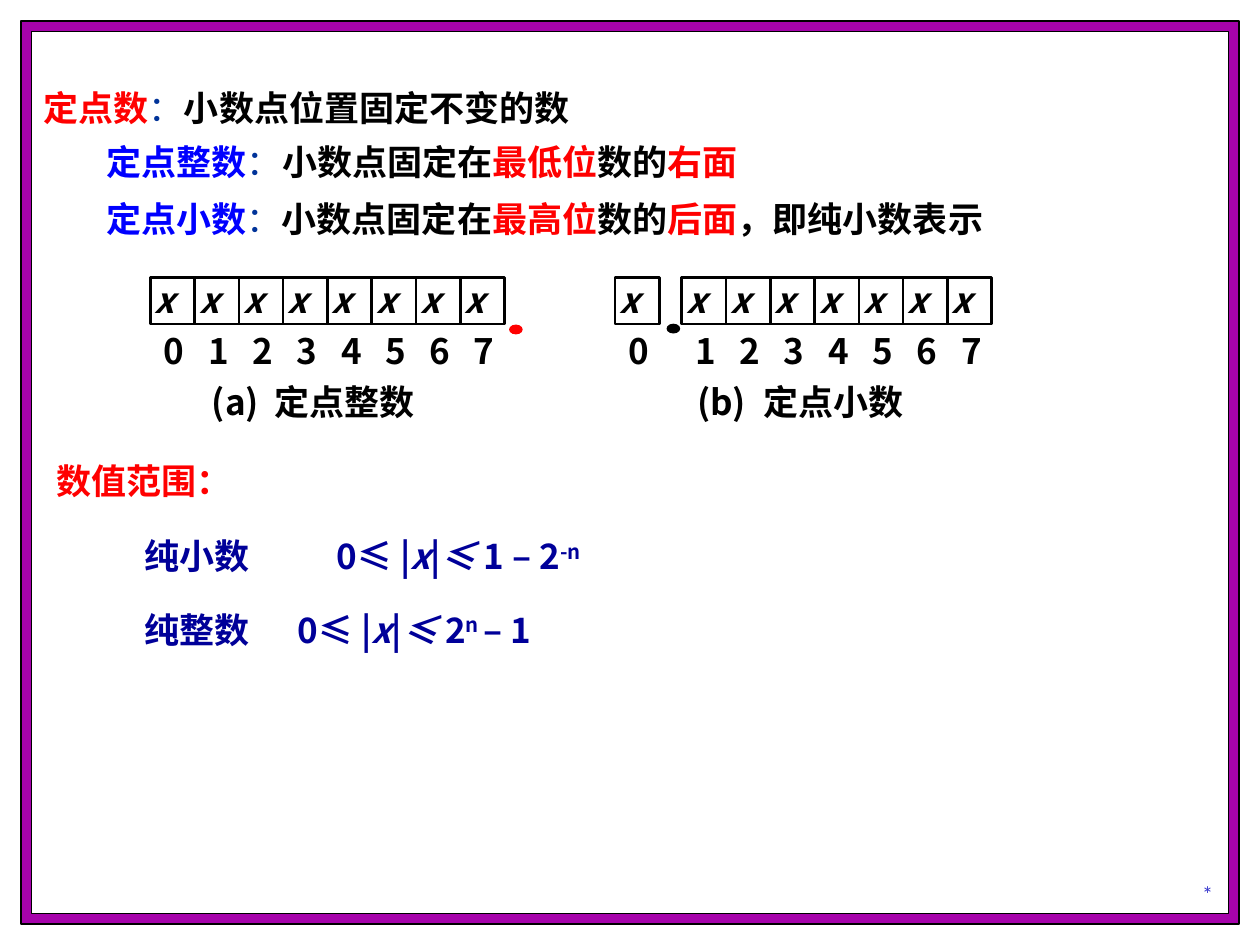
from dataclasses import dataclass
from lxml.etree import SubElement
from pptx import Presentation
from pptx.dml.color import RGBColor
from pptx.enum.lang import MSO_LANGUAGE_ID
from pptx.enum.shapes import MSO_SHAPE
from pptx.enum.text import MSO_ANCHOR, PP_ALIGN
from pptx.oxml.ns import qn
from pptx.util import Pt


@dataclass(frozen=True)
class Theme:
    font: str = "Noto Sans CJK SC"
    mark_font: str = "Lato"
    size: int = 20
    mark_size: int = 12
    frame: str = "A603AB"
    white: str = "FFFFFF"
    black: str = "000000"
    red: str = "FF0000"
    blue: str = "0000FF"
    colon: str = "003399"
    navy: str = "000099"
    mark: str = "3333CC"


THEME = Theme()
PLAIN = {"bold": False}
ITALIC = {"italic": True}
RAISED = {"baseline": 30000}

FRAMES = [(12, 12, 696, 516, THEME.frame), (18, 18, 684, 504, THEME.white)]

DEFINITION = [("定点数", THEME.red), ("：", THEME.colon, PLAIN), ("小数点位置固定不变的数", THEME.black)]
INTEGER_RULE = [
    ("定点整数", THEME.blue), ("：", THEME.colon, PLAIN), ("小数点固定在", THEME.black),
    ("最低位", THEME.red), ("数的", THEME.black), ("右面", THEME.red),
]
FRACTION_RULE = [
    ("定点小数", THEME.blue), ("：", THEME.colon, PLAIN), ("小数点固定在", THEME.black),
    ("最高位", THEME.red), ("数的", THEME.black), ("后面", THEME.red),
    ("，即纯小数表示", THEME.black),
]

REGISTERS = [
    {"left": 85.9, "gap": 0, "point": (290.9, 185.5, THEME.red),
     "captions": [("(a)", 121, 34), ("定点整数", 157, 90)]},
    {"left": 351.5, "gap": 12.8, "point": (380.9, 185, THEME.black),
     "captions": [("(b)", 398.4, 36), ("定点小数", 436.3, 90)]},
]
BITS = 8
CELL_WIDTH, CELL_HEIGHT, CELL_TOP = 25.3, 26.6, 158.6

ABSOLUTE_X = [
    ("0≤ |", THEME.navy), ("x", THEME.navy, ITALIC), ("|", THEME.navy), ("≤ ", THEME.navy, ITALIC),
]
RANGES = [
    ("纯小数", 192.4, ABSOLUTE_X + [("1 – 2", THEME.navy), ("-n", THEME.navy, RAISED)]),
    ("纯整数", 170.2, ABSOLUTE_X + [("2", THEME.navy), ("n ", THEME.navy, RAISED), ("– 1", THEME.navy)]),
]
RANGE_TOP, RANGE_PITCH = 305.6, 42


def add_run(paragraph, text, color, style=None, font=THEME.font, size=THEME.size):
    style = style or {}
    run = paragraph.add_run()
    run.text = text
    run.font.name = font
    run.font.size = Pt(size)
    run.font.bold = style.get("bold", True)
    run.font.italic = style.get("italic", False)
    run.font.color.rgb = RGBColor.from_string(color)
    run.font.language_id = MSO_LANGUAGE_ID.SIMPLIFIED_CHINESE
    properties = run.font._element
    SubElement(properties, qn("a:ea")).set("typeface", font)
    if "baseline" in style:
        properties.set("baseline", str(style["baseline"]))


def add_text(slide, left, top, width, height, runs):
    frame = slide.shapes.add_textbox(Pt(left), Pt(top), Pt(width), Pt(height)).text_frame
    frame.margin_left = frame.margin_right = frame.margin_top = frame.margin_bottom = 0
    frame.word_wrap = True
    for run in runs:
        add_run(frame.paragraphs[0], *run)
    return frame


def add_figure(slide, kind, left, top, width, height, fill=None, line=None, weight=0.75):
    shape = slide.shapes.add_shape(kind, Pt(left), Pt(top), Pt(width), Pt(height))
    shape.shadow.inherit = False
    if fill:
        shape.fill.solid()
        shape.fill.fore_color.rgb = RGBColor.from_string(fill)
    else:
        shape.fill.background()
    if line:
        shape.line.color.rgb = RGBColor.from_string(line)
        shape.line.width = Pt(weight)
    else:
        shape.line.fill.background()


def add_register(slide, register):
    for bit in range(BITS):
        left = register["left"] + bit * CELL_WIDTH + (register["gap"] if bit else 0)
        add_figure(slide, MSO_SHAPE.RECTANGLE, left, CELL_TOP, CELL_WIDTH, CELL_HEIGHT,
                   line=THEME.black, weight=1.5)
        add_text(slide, left + 2.6, 159.1, 14, 24, [("x", THEME.black, ITALIC)])
        add_text(slide, left + 7.8, 188.2, 14, 24, [(str(bit), THEME.black)])
    left, top, color = register["point"]
    add_figure(slide, MSO_SHAPE.OVAL, left, top, 7.8, 5.6, fill=color)
    for text, left, width in register["captions"]:
        add_text(slide, left, 217.3, width, 24, [(text, THEME.black)])


def main():
    presentation = Presentation()
    presentation.slide_width, presentation.slide_height = Pt(720), Pt(540)
    slide = presentation.slides.add_slide(presentation.slide_layouts[6])

    for left, top, width, height, fill in FRAMES:
        add_figure(slide, MSO_SHAPE.RECTANGLE, left, top, width, height, fill, THEME.black)

    mark = add_text(slide, 660, 486, 60, 32.4, [])
    mark.vertical_anchor = MSO_ANCHOR.BOTTOM
    mark.paragraphs[0].alignment = PP_ALIGN.CENTER
    add_run(mark.paragraphs[0], "*", THEME.mark, PLAIN, THEME.mark_font, THEME.mark_size)

    definitions = add_text(slide, 25, 49.6, 657, 64, DEFINITION)
    integer_rule = definitions.add_paragraph()
    integer_rule.space_before = Pt(6.5)
    integer_rule._p.get_or_add_pPr().set("marL", str(Pt(36)))
    for run in INTEGER_RULE:
        add_run(integer_rule, *run)
    add_text(slide, 60.8, 113, 600, 29, FRACTION_RULE)

    for register in REGISTERS:
        add_register(slide, register)

    add_text(slide, 32.4, 262.4, 200, 29, [("数值范围：", THEME.red)])
    for index, (label, formula_left, formula) in enumerate(RANGES):
        top = RANGE_TOP + index * RANGE_PITCH
        add_text(slide, 82.4, top, 70, 29, [(label, THEME.navy)])
        add_text(slide, formula_left, top, 220, 29, formula)

    presentation.save("out.pptx")


if __name__ == "__main__":
    main()
